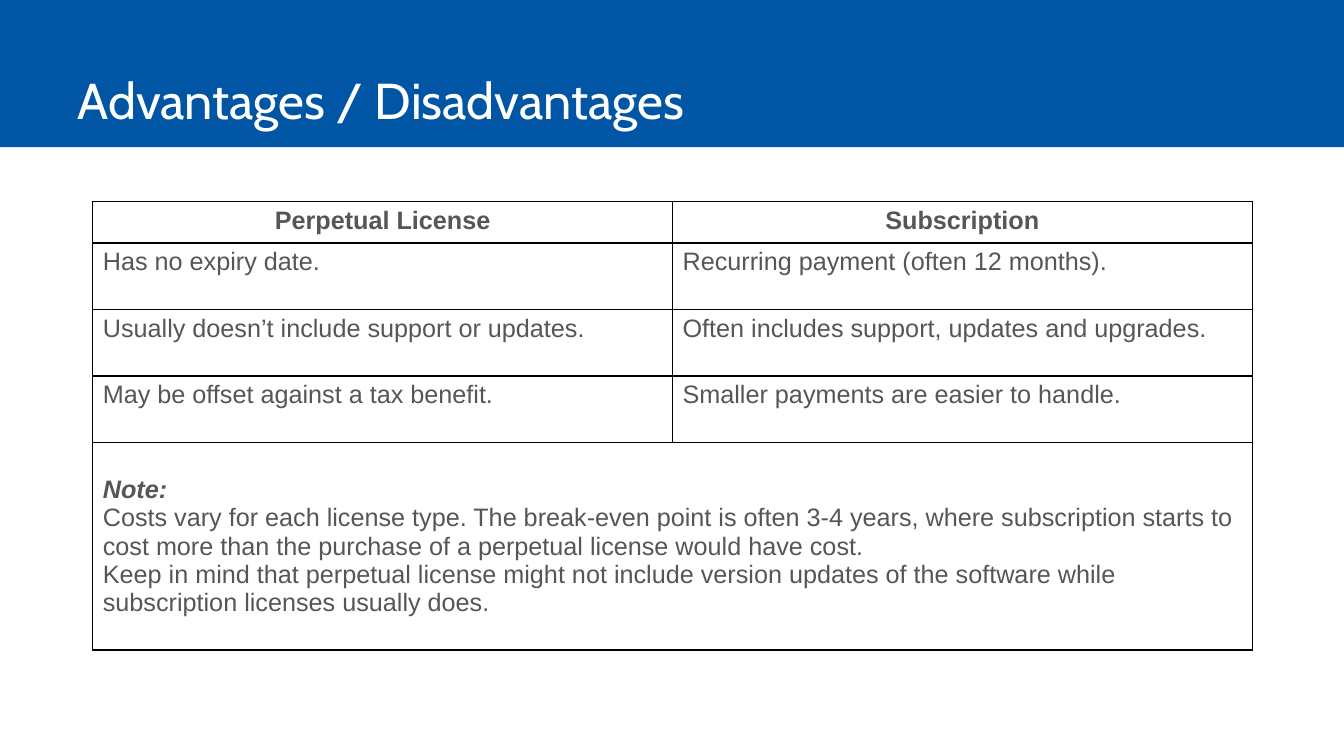
from dataclasses import dataclass

from lxml.etree import SubElement
from pptx import Presentation
from pptx.dml.color import RGBColor
from pptx.enum.shapes import MSO_SHAPE as Shape
from pptx.enum.text import MSO_ANCHOR as Anchor, MSO_AUTO_SIZE as AutoSize, PP_ALIGN as Align
from pptx.oxml import parse_xml
from pptx.oxml.ns import nsdecls, qn
from pptx.slide import Slide
from pptx.table import _Cell as Cell
from pptx.util import Inches, Pt


@dataclass(frozen=True)
class Theme:
    banner: RGBColor = RGBColor(0x00, 0x55, 0xA4)
    title: RGBColor = RGBColor(0xFF, 0xFF, 0xFF)
    body: RGBColor = RGBColor(0x56, 0x56, 0x55)
    border: str = "000000"
    title_font: str = "Cabin"
    body_font: str = "Arial"
    title_size: Pt = Pt(36)
    body_size: Pt = Pt(18)
    border_width: Pt = Pt(1)


@dataclass(frozen=True)
class TableRow:
    texts: tuple[str, ...]
    height: float
    heading: bool = False


THEME = Theme()
COLUMN_WIDTH = 5.75
ROWS = [
    TableRow(("Perpetual License", "Subscription"), 0.41, heading=True),
    TableRow(("Has no expiry date.", "Recurring payment (often 12 months)."), 0.66),
    TableRow(("Usually doesn’t include support or updates.",
              "Often includes support, updates and upgrades."), 0.66),
    TableRow(("May be offset against a tax benefit.",
              "Smaller payments are easier to handle."), 0.66),
]
NOTE = TableRow((
    "Note:\n"
    "Costs vary for each license type. The break-even point is often 3-4 years, "
    "where subscription starts to cost more than the purchase of a perpetual "
    "license would have cost.\n"
    "Keep in mind that perpetual license might not include version updates of "
    "the software while subscription licenses usually does.",), 2.06)


def add_title(slide: Slide, text: str) -> None:
    title = slide.shapes.title
    title.left, title.top = Inches(0.67), Inches(0)
    title.width, title.height = Inches(11.75), Inches(1.34)
    frame = title.text_frame
    frame.text = text
    frame.auto_size = AutoSize.NONE
    frame.vertical_anchor = Anchor.BOTTOM
    paragraph = frame.paragraphs[0]
    paragraph.alignment = Align.LEFT
    paragraph.line_spacing = 0.9
    font = paragraph.runs[0].font
    font.name, font.size = THEME.title_font, THEME.title_size
    font.color.rgb = THEME.title


def add_banner(slide: Slide, width: int) -> None:
    banner = slide.shapes.add_shape(Shape.RECTANGLE, 0, 0, width, Inches(1.46))
    banner.shadow.inherit = False
    banner.fill.solid()
    banner.fill.fore_color.rgb = THEME.banner
    banner.line.fill.background()
    # Place the banner behind the title
    slide.shapes.title._element.addprevious(banner._element)


def format_cell(cell: Cell, heading: bool = False) -> None:
    cell.fill.background()
    cell.margin_left = cell.margin_right = Inches(0.1)
    cell.margin_top = cell.margin_bottom = Inches(0.05)
    for paragraph in cell.text_frame.paragraphs:
        paragraph.alignment = Align.CENTER if heading else Align.LEFT
        for run in paragraph.runs:
            font = run.font
            font.name, font.size, font.bold = THEME.body_font, THEME.body_size, heading
            font.color.rgb = THEME.body


def add_borders(cell: Cell) -> None:
    properties = cell._tc.get_or_add_tcPr()
    for position, side in enumerate(("lnL", "lnR", "lnT", "lnB")):
        line = parse_xml(f'<a:{side} {nsdecls("a")} w="{THEME.border_width}"/>')
        fill = SubElement(line, qn("a:solidFill"))
        SubElement(fill, qn("a:srgbClr"), val=THEME.border)
        properties.insert(position, line)


def add_comparison(slide: Slide) -> None:
    rows = [*ROWS, NOTE]
    table = slide.shapes.add_table(
        len(rows), 2, Inches(0.92), Inches(2), Inches(2 * COLUMN_WIDTH),
        Inches(sum(row.height for row in rows))).table
    table.first_row = table.horz_banding = False
    for column in table.columns:
        column.width = Inches(COLUMN_WIDTH)

    for index, row in enumerate(rows):
        table.rows[index].height = Inches(row.height)
        for column_index, text in enumerate(row.texts):
            cell = table.cell(index, column_index)
            cell.text_frame.text = text
            format_cell(cell, row.heading)

    # The note spans both columns
    last = len(rows) - 1
    note = table.cell(last, 0)
    note.merge(table.cell(last, 1))
    note.vertical_anchor = Anchor.MIDDLE
    label = note.text_frame.paragraphs[0].runs[0].font
    label.bold = label.italic = True
    format_cell(table.cell(last, 1))

    for cell in table.iter_cells():
        add_borders(cell)


def main() -> None:
    presentation = Presentation()
    presentation.slide_width, presentation.slide_height = Inches(13.33), Inches(7.5)
    slide = presentation.slides.add_slide(presentation.slide_layouts[5])
    add_title(slide, "Advantages / Disadvantages")
    add_banner(slide, presentation.slide_width)
    add_comparison(slide)
    presentation.save("out.pptx")


if __name__ == "__main__":
    main()
